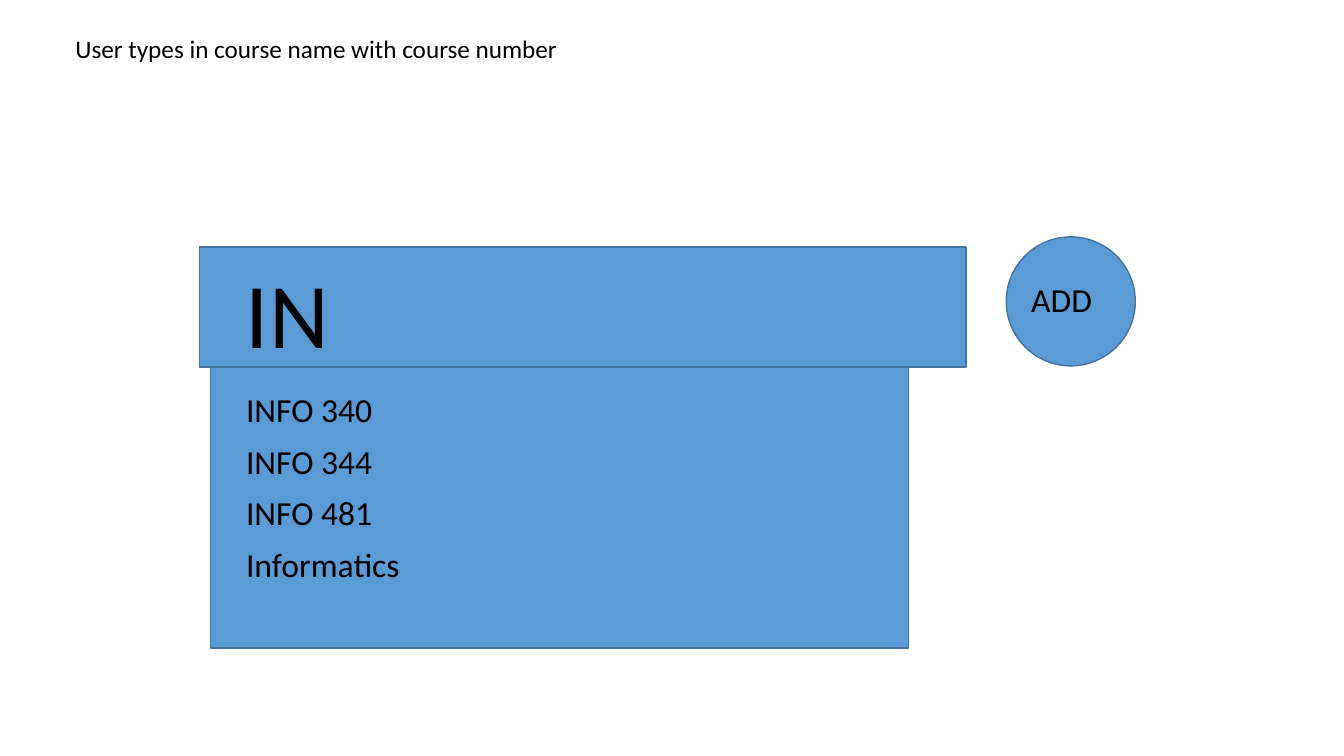
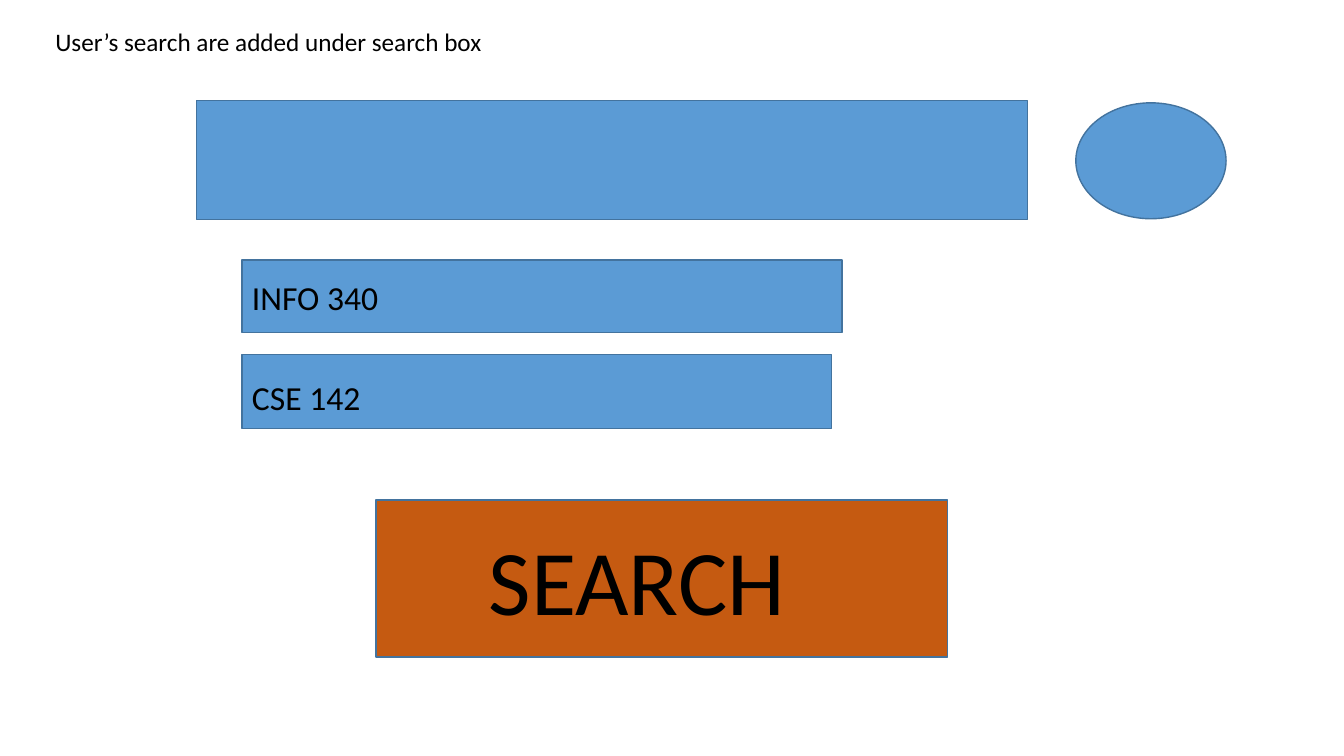
from pptx import Presentation
from pptx.dml.color import RGBColor
from pptx.enum.shapes import MSO_SHAPE
from pptx.enum.text import MSO_ANCHOR, PP_ALIGN
from pptx.util import Emu, Pt

RECT, OVAL = MSO_SHAPE.RECTANGLE, MSO_SHAPE.OVAL
TOP, LEFT = MSO_ANCHOR.TOP, PP_ALIGN.LEFT

# Shared look; 100 px make one inch
FONT = "Calibri"
BLUE, EDGE, RUST, BLACK = "5B9BD5", "43739E", "C55A11", "000000"
SMALL, BODY, LARGE = 18, 24, 66
GAP = 8


def px(n):
    return Emu(n * 9144)


def rgb(code):
    return RGBColor.from_string(code)


def write(shape, lines, size, pad):
    """Set left-aligned lines, starting at pad (left, top) inside the shape."""
    frame = shape.text_frame
    frame.word_wrap = True
    frame.vertical_anchor = TOP
    frame.margin_left, frame.margin_top = map(px, pad)
    frame.margin_right = frame.margin_bottom = 0
    frame.text = "\n".join(lines)
    for i, par in enumerate(frame.paragraphs):
        par.alignment = LEFT
        par.space_before = Pt(GAP if i else 0)
        par.font.name = FONT
        par.font.size = Pt(size)
        par.font.color.rgb = rgb(BLACK)


def block(slide, kind, box, lines=(), size=BODY, pad=(10, 5), fill=BLUE):
    """Draw an outlined shape with optional text."""
    shape = slide.shapes.add_shape(kind, *map(px, box))
    shape.shadow.inherit = False
    shape.fill.solid()
    shape.fill.fore_color.rgb = rgb(fill)
    shape.line.color.rgb = rgb(EDGE)
    shape.line.width = Pt(1)
    if lines:
        write(shape, lines, size, pad)


def page(deck, title, box):
    """Add a blank slide with its caption."""
    slide = deck.slides.add_slide(deck.slide_layouts[6])
    write(slide.shapes.add_textbox(*map(px, box)), [title], SMALL, (10, 5))
    return slide


def typing(deck):
    slide = page(deck, "User types in course name with course number",
                 (65, 28, 736, 40))
    # Search box, matches and button
    block(slide, RECT, (198, 245, 760, 119), ["IN"], LARGE, (46, 9))
    block(slide, RECT, (209, 364, 692, 279),
          ["INFO 340", "INFO 344", "INFO 481", "Informatics"], pad=(35, 22))
    block(slide, OVAL, (998, 235, 128, 128), ["ADD"], pad=(6, 23))


def added(deck):
    slide = page(deck, "User’s search are added under search box",
                 (45, 21, 585, 40))
    # Empty search box and button
    block(slide, RECT, (195, 100, 824, 118))
    block(slide, OVAL, (1067, 102, 149, 115))
    # Chosen courses
    block(slide, RECT, (240, 258, 595, 72), ["INFO 340"], pad=(10, 17))
    block(slide, RECT, (240, 352, 585, 73), ["CSE 142"], pad=(10, 22))
    # Search button
    block(slide, RECT, (373, 496, 567, 156), ["SEARCH"], LARGE, (112, 23), RUST)


def main():
    deck = Presentation()
    deck.slide_width, deck.slide_height = px(1333), px(750)
    typing(deck)
    added(deck)
    deck.save("out.pptx")


if __name__ == "__main__":
    main()
